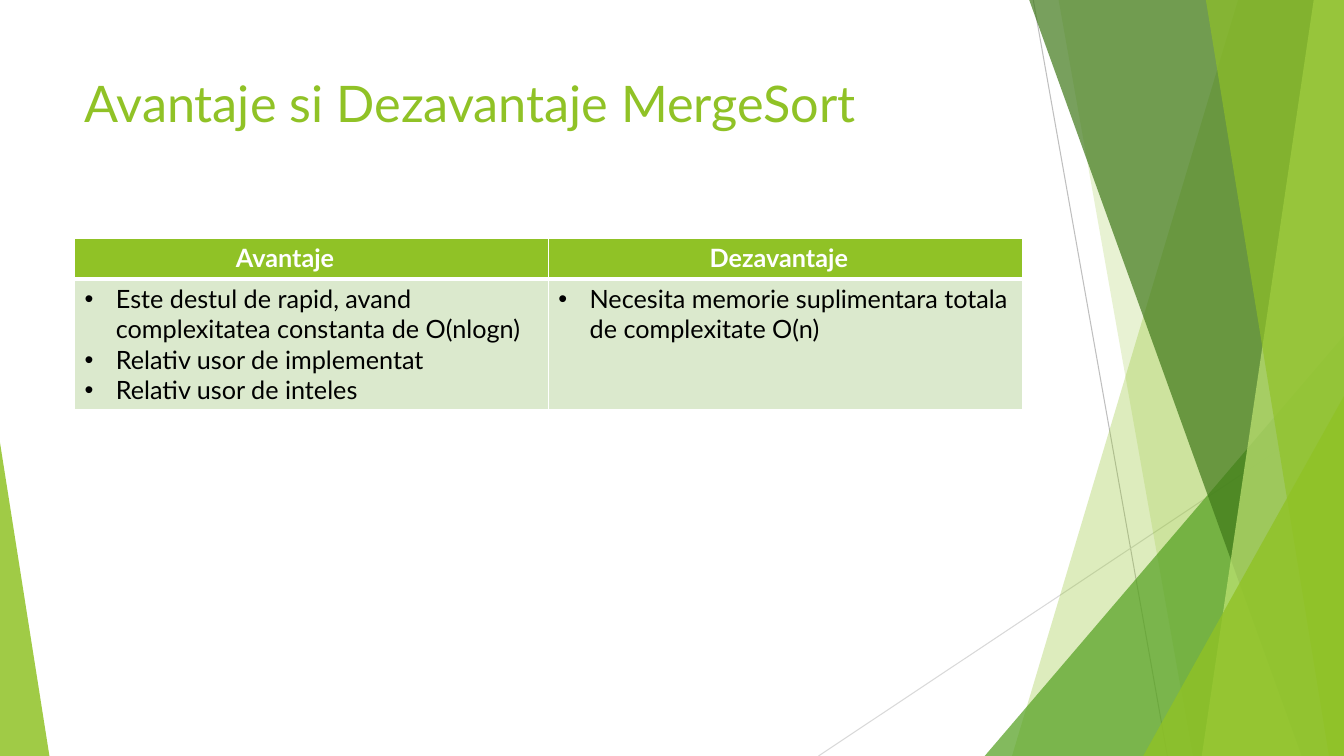
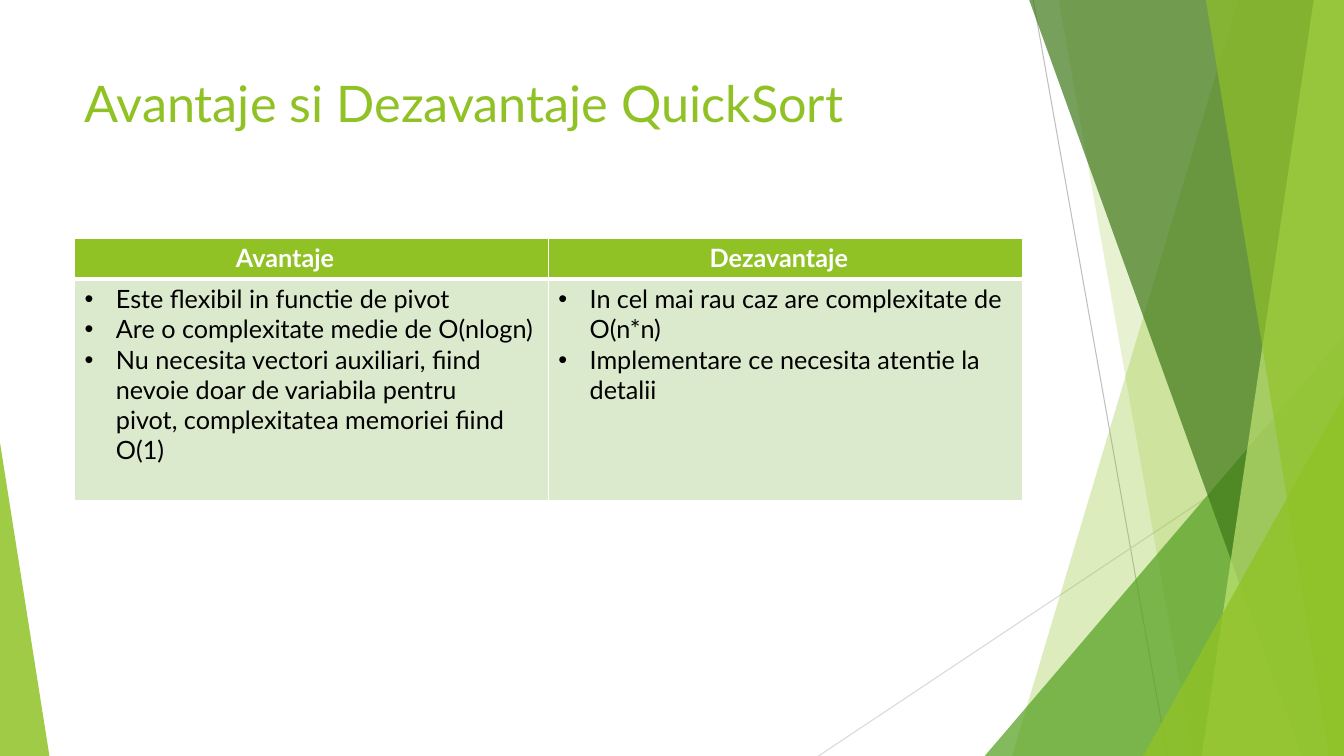
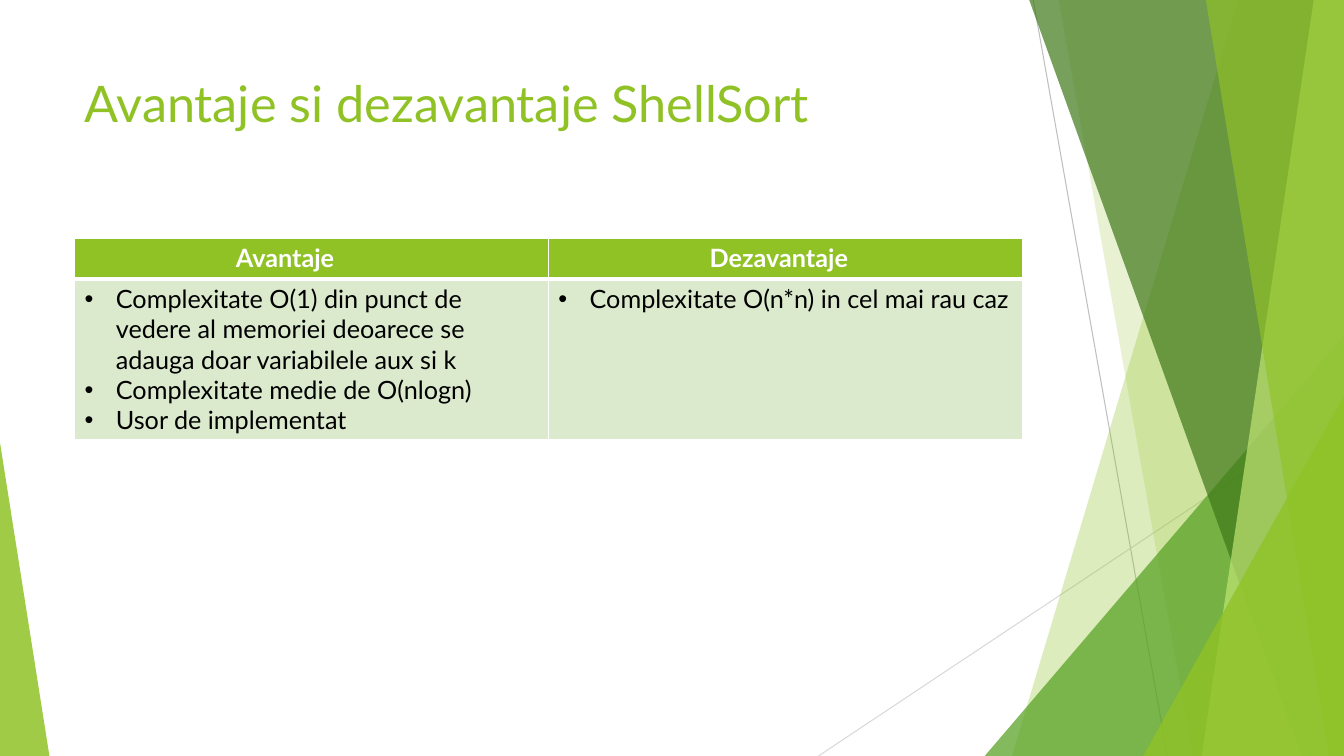
from lxml.etree import SubElement
from pptx import Presentation
from pptx.dml.color import RGBColor
from pptx.enum.shapes import MSO_CONNECTOR, MSO_SHAPE
from pptx.oxml.ns import qn
from pptx.util import Inches, Pt

LINE = MSO_CONNECTOR.STRAIGHT
WEDGE = MSO_SHAPE.ISOSCELES_TRIANGLE
WIDE, HIGH = Inches(13.33), Inches(7.5)
FONT = "Lato"
LIME, LEAF, MOSS, PALE = "90C226", "54A021", "3F7819", "C0E474"
MINT, WHITE, BLACK = "DBE9CD", "FFFFFF", "000000"
HEADS = ["Avantaje", "Dezavantaje"]
HEAD_ROW, TEXT_ROW, PAD = 5.4, 4, 1.33


def across(share):
    return round(WIDE * share / 100)


def down(share):
    return round(HIGH * share / 100)


def place(box):
    left, top, width, height = box
    return across(left), down(top), across(width), down(height)


def paint(item, color):
    item.fill.solid()
    item.fill.fore_color.rgb = RGBColor.from_string(color)


def glaze(shape, color, alpha):
    paint(shape, color)
    shape.line.fill.background()
    shape.shadow.inherit = False
    tint = shape.element.spPr.find(".//" + qn("a:srgbClr"))
    SubElement(tint, qn("a:alpha")).set("val", str(alpha * 1000))


def write(frame, lines, size=18, color=BLACK, bold=False, inset=0, bullet=False):
    frame.word_wrap = True
    for index, line in enumerate(lines):
        para = frame.add_paragraph() if index else frame.paragraphs[0]
        run = para.add_run()
        run.text = line
        run.font.name, run.font.size, run.font.bold = FONT, Pt(size), bold
        run.font.color.rgb = RGBColor.from_string(color)
        props = para._p.get_or_add_pPr()
        props.set("marL", str(Inches(inset)))
        props.set("indent", str(-Inches(inset) if bullet else 0))
        if bullet:
            SubElement(props, qn("a:buFont")).set("typeface", "Arial")
            SubElement(props, qn("a:buChar")).set("char", "•")


def thread(slide, start, end, color):
    line = slide.shapes.add_connector(
        LINE, across(start[0]), down(start[1]), across(end[0]), down(end[1]))
    line.line.color.rgb = RGBColor.from_string(color)
    line.line.width = Pt(0.75)
    SubElement(line.element.spPr, qn("a:effectLst"))


def sheet(slide, top, base, color, alpha):
    pen = slide.shapes.build_freeform(across(top), 0)
    pen.add_line_segments([(WIDE, 0), (WIDE, HIGH), (across(base), HIGH)])
    glaze(pen.convert_to_shape(), color, alpha)


def wedge(slide, box, tip, color, alpha):
    shape = slide.shapes.add_shape(WEDGE, *place(box))
    shape.adjustments[0] = tip
    glaze(shape, color, alpha)


def corner(slide, left, top, color, alpha):
    wedge(slide, (left, top, 100 - left, 100 - top), 1, color, alpha)


def backdrop(slide):
    thread(slide, (76.88, 0), (86.86, 100), "BFBFBF")
    thread(slide, (100, 53.73), (60.9, 100), "D9D9D9")
    for draw, start, end, color, alpha in [
        (sheet, 92.12, 75.3, LIME, 30),
        (sheet, 78.77, 88.75, LIME, 20),
        (corner, 73.27, 44.4, LEAF, 72),
        (sheet, 76.58, 96.85, MOSS, 70),
        (sheet, 97.75, 89.42, PALE, 70),
        (sheet, 89.72, 98.88, LIME, 65),
        (corner, 85.06, 52.4, LIME, 80),
    ]:
        draw(slide, start, end, color, alpha)
    wedge(slide, (0, 58.53, 3.68, 41.47), 0, LIME, 85)


def title(slide, box, text):
    frame = slide.shapes.add_textbox(*place(box)).text_frame
    write(frame, [text], size=36, color=LIME)


def border(cell, **widths):
    props = cell._tc.get_or_add_tcPr()
    for index, side in enumerate("LRTB"):
        edge = SubElement(props, qn("a:ln" + side))
        edge.set("w", str(Pt(widths.get(side, 1))))
        fill = SubElement(edge, qn("a:solidFill"))
        SubElement(fill, qn("a:srgbClr")).set("val", WHITE)
        props.insert(index, edge)


def compare(slide, box, sides, rows):
    body = rows * TEXT_ROW + PAD
    left, top, width = box
    grid = slide.shapes.add_table(
        2, len(HEADS), *place((left, top, width, HEAD_ROW + body))).table
    grid.first_row = grid.horz_banding = False
    grid.rows[0].height, grid.rows[1].height = down(HEAD_ROW), down(body)
    for col, (head, points) in enumerate(zip(HEADS, sides)):
        grid.columns[col].width = across(width / len(HEADS))
        cell = grid.cell(0, col)
        paint(cell, LIME)
        border(cell, B=3)
        write(cell.text_frame, [head], color=WHITE, bold=True, inset=1.5)
        cell = grid.cell(1, col)
        paint(cell, MINT)
        border(cell, T=3)
        write(cell.text_frame, points, inset=0.31, bullet=True)


SORTS = [
    ("Avantaje si Dezavantaje MergeSort", 4, [
        ["Este destul de rapid, avand complexitatea\u00a0constanta\u00a0de O(nlogn)",
         "Relativ usor de implementat",
         "Relativ usor de inteles"],
        ["Necesita\u00a0memorie suplimentara totala de complexitate O(n)"]]),
    ("Avantaje si Dezavantaje QuickSort", 7, [
        ["Este flexibil in functie de pivot",
         "Are o complexitate medie de O(nlogn)",
         "Nu necesita vectori auxiliari, fiind nevoie doar de variabila "
         "pentru pivot,\u00a0complexitatea memoriei fiind O(1)"],
        ["In cel mai rau caz are complexitate de O(n*n)",
         "Implementare ce necesita atentie la detalii"]]),
    ("Avantaje si dezavantaje ShellSort", 5, [
        ["Complexitate O(1) din punct de vedere al memoriei deoarece se "
         "adauga doar variabilele aux si k",
         "Complexitate medie de O(nlogn)",
         "Usor de implementat"],
        ["Complexitate O(n*n) in cel mai rau caz"]]),
]

deck = Presentation()
deck.slide_width, deck.slide_height = WIDE, HIGH
for name, rows, sides in SORTS:
    slide = deck.slides.add_slide(deck.slide_layouts[6])
    backdrop(slide)
    title(slide, (5.55, 8.9, 70.5, 19.2), name)
    compare(slide, (5.55, 31.47, 70.5), sides, rows)
deck.save("out.pptx")
